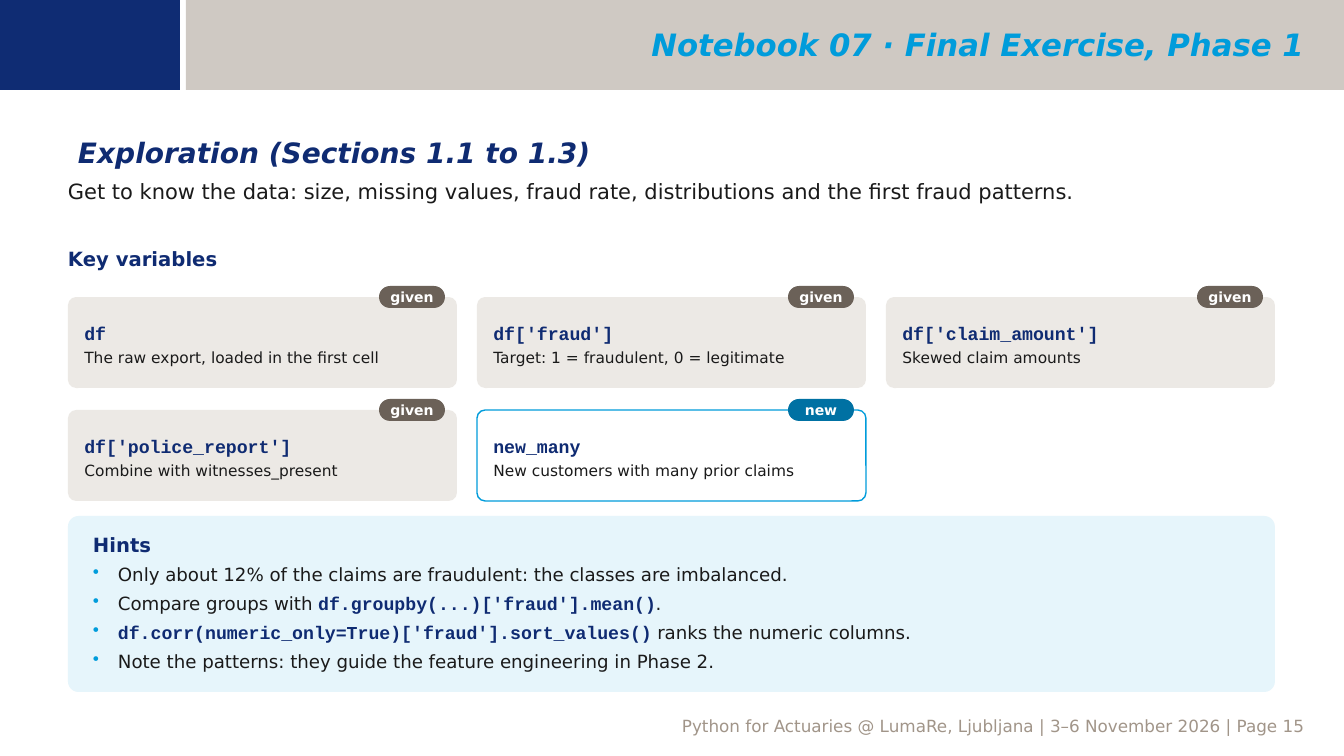
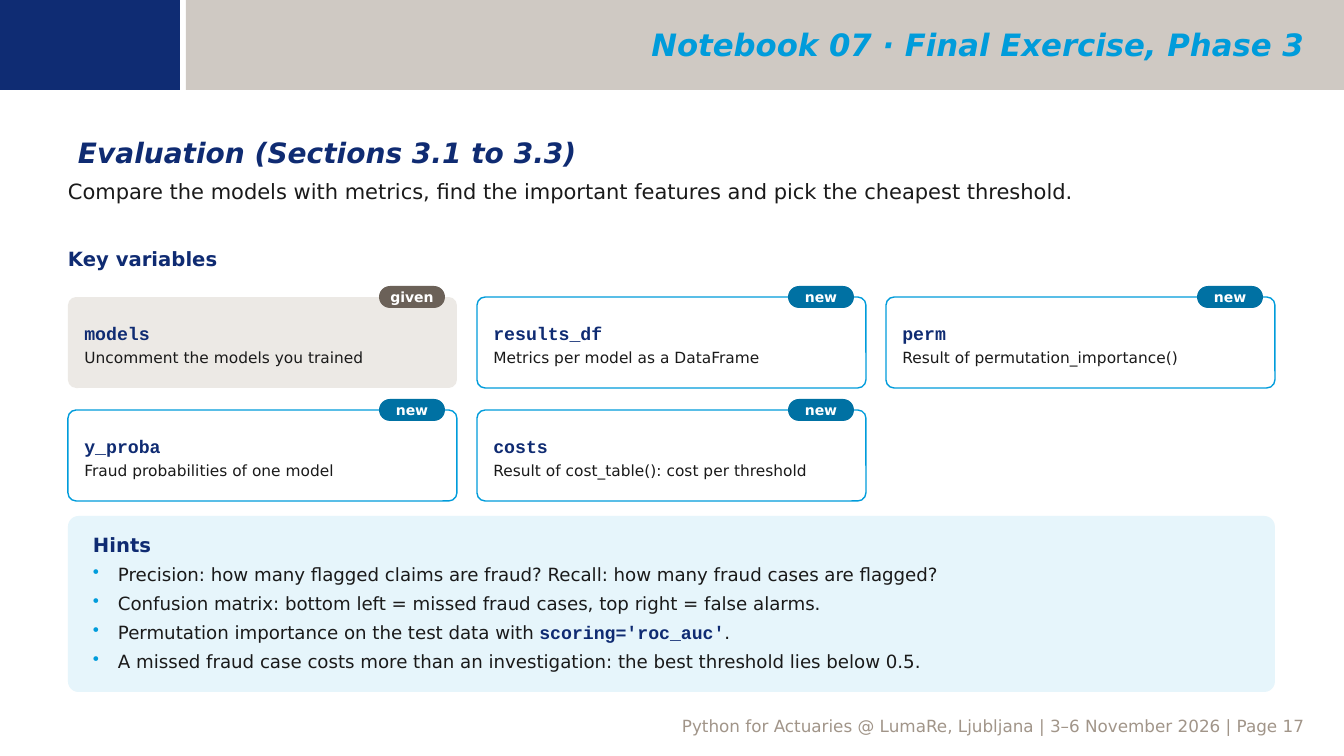
from lxml.etree import SubElement
from pptx import Presentation
from pptx.dml.color import RGBColor
from pptx.enum.shapes import MSO_SHAPE as Shape
from pptx.enum.text import MSO_ANCHOR as Anchor, MSO_AUTO_SIZE as AutoSize, PP_ALIGN as Align
from pptx.oxml.ns import qn
from pptx.util import Emu, Pt

SANS, MONO = "DejaVu Sans", "Courier New"
NAVY, BLOCK_NAVY, CYAN, TEAL = "0F2B72", "0F2C73", "009CDB", "0071A3"
TAUPE, BROWN, SAND, PALE_BLUE = "A19589", "6B6158", "ECE9E5", "E6F5FB"
INK, WHITE = "1A1A1A", "FFFFFF"

SLIDE_W, SLIDE_H = 1344, 756
HEADER_H = 90
LEFT, CONTENT_W = 68, 1207
COLUMNS, CARD_H, COLUMN_GAP, ROW_GAP = 3, 91, 20, 22
BADGE_W, BADGE_H, BADGE_INSET = 66, 22, 12
DEFAULT_INSETS, NO_INSETS = (10, 5, 10, 5), (0, 0, 0, 0)

# Card kind: (card fill, card outline, badge fill)
CARD_STYLES = {"given": (SAND, None, BROWN), "new": (WHITE, CYAN, TEAL)}

PHASES = [
    {
        "title": "Notebook 07 · Final Exercise, Phase 1",
        "subtitle": "Exploration (Sections 1.1 to 1.3)",
        "goal": "Get to know the data: size, missing values, fraud rate, "
                "distributions and the first fraud patterns.",
        "variables": [
            ("df", "The raw export, loaded in the first cell", "given"),
            ("df['fraud']", "Target: 1 = fraudulent, 0 = legitimate", "given"),
            ("df['claim_amount']", "Skewed claim amounts", "given"),
            ("df['police_report']", "Combine with witnesses_present", "given"),
            ("new_many", "New customers with many prior claims", "new"),
        ],
        "hints": [
            "Only about 12% of the claims are fraudulent: the classes are imbalanced.",
            "Compare groups with `df.groupby(...)['fraud'].mean()`.",
            "`df.corr(numeric_only=True)['fraud'].sort_values()` ranks the numeric columns.",
            "Note the patterns: they guide the feature engineering in Phase 2.",
        ],
        "page": 15,
    },
    {
        "title": "Notebook 07 · Final Exercise, Phase 3",
        "subtitle": "Evaluation (Sections 3.1 to 3.3)",
        "goal": "Compare the models with metrics, find the important features "
                "and pick the cheapest threshold.",
        "variables": [
            ("models", "Uncomment the models you trained", "given"),
            ("results_df", "Metrics per model as a DataFrame", "new"),
            ("perm", "Result of permutation_importance()", "new"),
            ("y_proba", "Fraud probabilities of one model", "new"),
            ("costs", "Result of cost_table(): cost per threshold", "new"),
        ],
        "hints": [
            "Precision: how many flagged claims are fraud? Recall: how many fraud cases are flagged?",
            "Confusion matrix: bottom left = missed fraud cases, top right = false alarms.",
            "Permutation importance on the test data with `scoring='roc_auc'`.",
            "A missed fraud case costs more than an investigation: the best threshold lies below 0.5.",
        ],
        "page": 17,
    },
]


def px(length):
    return Emu(round(length * 914400 / 100.8))


def rgb(colour):
    return RGBColor.from_string(colour)


def add_run(paragraph, text, size, colour, bold=False, italic=False, font=SANS):
    run = paragraph.add_run()
    run.text = text
    run.font.name, run.font.size = font, Pt(size)
    run.font.bold, run.font.italic = bold, italic
    run.font.color.rgb = rgb(colour)


def set_frame(shape, insets, anchor=Anchor.TOP, align=Align.LEFT):
    """Prepare the text frame and return its first paragraph."""
    frame = shape.text_frame
    frame.word_wrap, frame.auto_size = True, AutoSize.NONE
    frame.vertical_anchor = anchor
    (frame.margin_left, frame.margin_top,
     frame.margin_right, frame.margin_bottom) = map(px, insets)
    frame.paragraphs[0].alignment = align
    return frame.paragraphs[0]


def add_label(slide, box, text, size, colour, insets=NO_INSETS, align=Align.LEFT, **style):
    label = slide.shapes.add_textbox(*map(px, box))
    add_run(set_frame(label, insets, align=align), text, size, colour, **style)


def add_panel(slide, box, fill, outline=None, radius=None):
    """Add a rectangle, rounded when a radius ratio is given."""
    kind = Shape.RECTANGLE if radius is None else Shape.ROUNDED_RECTANGLE
    panel = slide.shapes.add_shape(kind, *map(px, box))
    if radius is not None:
        panel.adjustments[0] = radius
    panel.shadow.inherit = False
    panel.fill.solid()
    panel.fill.fore_color.rgb = rgb(fill)
    if outline:
        panel.line.color.rgb = rgb(outline)
        panel.line.width = Pt(1)
    else:
        panel.line.fill.background()
    return panel


def add_bullet(paragraph):
    properties = paragraph._p.get_or_add_pPr()
    indent = px(25)
    properties.set("marL", str(indent))
    properties.set("indent", str(-indent))
    bullet_colour = SubElement(properties, qn("a:buClr"))
    SubElement(bullet_colour, qn("a:srgbClr"), val=CYAN)
    SubElement(properties, qn("a:buChar"), char="•")


def add_header(slide, title_text):
    band = add_panel(slide, (186, 0, SLIDE_W - 186, HEADER_H), TAUPE)
    band_colour = band.fill._xPr.find(qn("a:solidFill")).find(qn("a:srgbClr"))
    SubElement(band_colour, qn("a:alpha"), val="50000")
    add_panel(slide, (0, 0, 180, HEADER_H), BLOCK_NAVY)

    title = slide.shapes.title
    slide.shapes._spTree.append(title._element)  # in front of the band
    title.left, title.top, title.width, title.height = map(px, (204, 2, 1110, 85))
    heading = set_frame(title, DEFAULT_INSETS, Anchor.MIDDLE, Align.RIGHT)
    add_run(heading, title_text, 22, CYAN, bold=True, italic=True)


def add_footer(slide, page):
    text = f"Python for Actuaries @ LumaRe, Ljubljana | 3–6 November 2026 | Page {page}"
    add_label(slide, (77, 711, 1238, 28), text, 12, TAUPE, DEFAULT_INSETS, Align.RIGHT)


def add_card(slide, box, name, meaning, kind):
    left, top, width, _ = box
    fill, outline, badge_fill = CARD_STYLES[kind]
    card = add_panel(slide, box, fill, outline, radius=0.09)
    add_run(set_frame(card, (14, 10, 14, 6), Anchor.MIDDLE), name, 13, NAVY,
            bold=True, font=MONO)
    description = card.text_frame.add_paragraph()
    description.alignment = Align.LEFT
    description.space_before = Pt(3)
    add_run(description, meaning, 11, INK)

    badge_box = (left + width - BADGE_INSET - BADGE_W, top - BADGE_H // 2, BADGE_W, BADGE_H)
    badge = add_panel(slide, badge_box, badge_fill, radius=0.5)
    add_run(set_frame(badge, NO_INSETS, Anchor.MIDDLE, Align.CENTER), kind, 10, WHITE, bold=True)


def add_variables(slide, left, top, width, variables):
    card_w = (width - (COLUMNS - 1) * COLUMN_GAP) // COLUMNS
    for index, variable in enumerate(variables):
        row, column = divmod(index, COLUMNS)
        box = (left + column * (card_w + COLUMN_GAP), top + row * (CARD_H + ROW_GAP),
               card_w, CARD_H)
        add_card(slide, box, *variable)


def add_hints(slide, box, hints):
    """Add the hint panel; text between backticks is set as code."""
    panel = add_panel(slide, box, PALE_BLUE, radius=0.06)
    add_run(set_frame(panel, (22, 14, 22, 10)), "Hints", 14, NAVY, bold=True)
    for hint in hints:
        paragraph = panel.text_frame.add_paragraph()
        add_bullet(paragraph)
        paragraph.alignment = Align.LEFT
        paragraph.space_before = Pt(5)
        for position, part in enumerate(hint.split("`")):
            if not part:
                continue
            if position % 2:
                add_run(paragraph, part, 13, NAVY, bold=True, font=MONO)
            else:
                add_run(paragraph, part, 13, INK)


def add_phase_slide(deck, phase):
    slide = deck.slides.add_slide(deck.slide_layouts.get_by_name("Title Only"))
    add_footer(slide, phase["page"])
    add_header(slide, phase["title"])
    add_label(slide, (LEFT, 131, CONTENT_W, 40), phase["subtitle"], 20, NAVY,
              DEFAULT_INSETS, bold=True, italic=True)
    add_label(slide, (LEFT, 179, CONTENT_W, 62), phase["goal"], 15, INK)
    add_label(slide, (LEFT, 247, 605, 32), "Key variables", 14, NAVY, bold=True)
    add_variables(slide, LEFT, 297, CONTENT_W, phase["variables"])
    add_hints(slide, (LEFT, 516, CONTENT_W, 176), phase["hints"])


def main():
    deck = Presentation()
    deck.slide_width, deck.slide_height = px(SLIDE_W), px(SLIDE_H)
    for phase in PHASES:
        add_phase_slide(deck, phase)
    deck.save("out.pptx")


if __name__ == "__main__":
    main()
